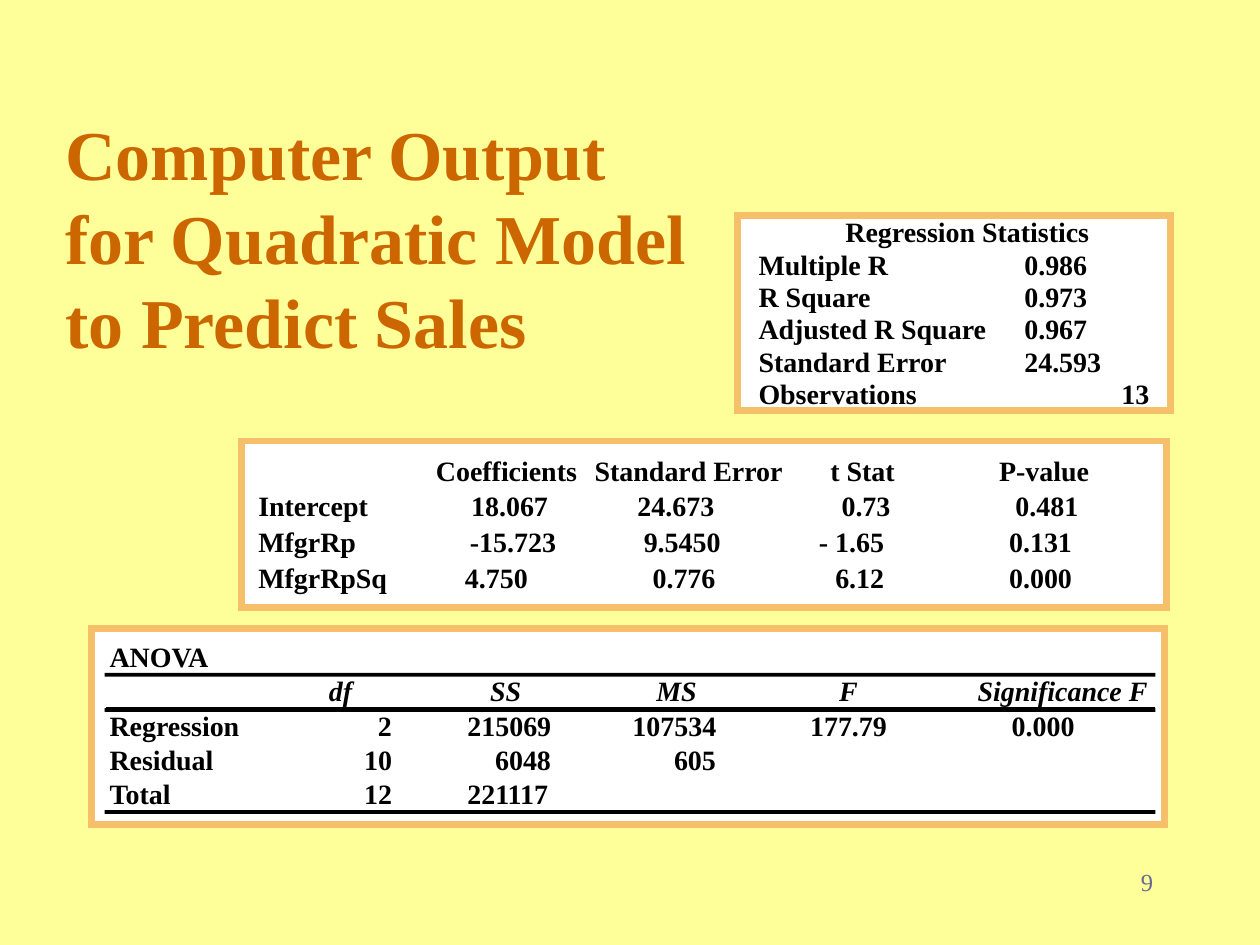
from dataclasses import dataclass
from lxml.etree import SubElement
from pptx import Presentation
from pptx.dml.color import RGBColor as RGB
from pptx.enum.shapes import MSO_CONNECTOR as Link, MSO_SHAPE as Shape
from pptx.enum.text import MSO_ANCHOR as Anchor, MSO_AUTO_SIZE as Fit, PP_ALIGN as Align
from pptx.oxml.ns import qn
from pptx.util import Inches, Pt

TITLE = "Computer Output for Quadratic Model to Predict Sales"
NUMBER = "9"

# A cell is a text, or a text with its indent in inches.
# cols lists the column edges; head is the row in italics.
TABLES = [
    dict(
        frame=(5.85, 1.71, 3.44, 1.55), top=1.73, height=1.54,
        cols=[6.02, 8.13, 9.27], head=None, merge=True,
        rows=[
            [("Regression Statistics", 0.69), ""],
            ["Multiple R", "0.986"],
            ["R Square", "0.973"],
            ["Adjusted R Square", "0.967"],
            ["Standard Error", "24.593"],
            ["Observations", ("13", 0.77)],
        ],
    ),
    dict(
        frame=(1.92, 3.5, 7.34, 1.32), top=3.62, height=1.14,
        cols=[2.05, 3.46, 4.72, 6.46, 7.93, 9.16], head=None, merge=False,
        rows=[
            ["", "Coefficients", "Standard Error", ("t Stat", 0.13), "P-value"],
            ["Intercept", ("18.067", 0.28), ("24.673", 0.34), ("0.73", 0.22), ("0.481", 0.13)],
            ["MfgrRp", ("-15.723", 0.27), ("9.5450", 0.39), ("- 1.65", 0.04), ("0.131", 0.08)],
            ["MfgrRpSq", ("4.750", 0.23), ("0.776", 0.46), ("6.12", 0.17), ("0.000", 0.08)],
        ],
    ),
    dict(
        frame=(0.73, 4.99, 8.51, 1.55), top=5.1, height=1.36,
        cols=[0.83, 2.61, 3.71, 5.02, 6.43, 7.76, 9.17], head=1, merge=False,
        rows=[
            [("ANOVA", 0.04), "", "", "", "", ""],
            ["", "df", ("SS", 0.18), ("MS", 0.19), ("F", 0.23), "Significance F"],
            [("Regression", 0.04), ("2", 0.39), "215069", "107534", "177.79", ("0.000", 0.27)],
            [("Residual", 0.04), ("10", 0.28), ("6048", 0.22), ("605", 0.33), "", ""],
            [("Total", 0.04), ("12", 0.28), "221117", "", "", ""],
        ],
    ),
]
BARS = [5.34, 5.62, 6.43]
HAIR = 0.84, 5.62, 9.17, 5.62


@dataclass(frozen=True)
class Theme:
    face: str = "Times New Roman"
    back: str = "FFFF99"
    title: str = "CC6600"
    panel: str = "FFFFFF"
    edge: str = "F6BF69"
    ink: str = "000000"
    note: str = "666699"
    big: int = 40
    body: int = 16
    small: int = 14
    border: int = 4
    hair: int = 1
    plain: str = "{2D5ABB26-0587-4C30-8999-92F81FD0307C}"  # no style, no grid


T = Theme()


def style(par, size, color, bold=False, italic=False):
    for run in par.runs:
        font = run.font
        font.name, font.size = T.face, Pt(size)
        font.bold, font.italic = bold, italic
        font.color.rgb = RGB.from_string(color)


def add_rect(slide, box, color):
    rect = slide.shapes.add_shape(Shape.RECTANGLE, *map(Inches, box))
    rect.shadow.inherit = False
    rect.fill.solid()
    rect.fill.fore_color.rgb = RGB.from_string(color)
    rect.line.fill.background()
    return rect


def fill_cell(cell, item, italic):
    text, indent = item if isinstance(item, tuple) else (item, 0)
    cell.fill.background()
    cell.margin_left = Inches(indent)
    cell.margin_right = cell.margin_top = cell.margin_bottom = 0
    par = cell.text_frame.paragraphs[0]
    if text:
        par.text = text
        style(par, T.body, T.ink, True, italic)
    else:  # an empty cell must not stretch its row
        SubElement(par._p, qn("a:endParaRPr"), sz=str(T.body * 100))


def add_frame(slide, box):
    frame = add_rect(slide, box, T.panel)
    frame.line.color.rgb = RGB.from_string(T.edge)
    frame.line.width = Pt(T.border)
    SubElement(frame.line._get_or_add_ln(), qn("a:miter"), lim="800000")


def add_rules(slide):
    for top in BARS:
        add_rect(slide, (0.83, top, 8.34, 0.03), T.ink)
    hair = slide.shapes.add_connector(Link.STRAIGHT, *map(Inches, HAIR))
    hair.line.color.rgb = RGB.from_string(T.ink)
    hair.line.width = Pt(T.hair)
    SubElement(hair.element.spPr, qn("a:effectLst"))


def add_grid(slide, data):
    rows, cols = data["rows"], data["cols"]
    box = cols[0], data["top"], cols[-1] - cols[0], data["height"]
    holder = slide.shapes.add_table(len(rows), len(cols) - 1, *map(Inches, box))
    table = holder.table
    table.first_row = table.horz_banding = False
    for node in holder.element.iter(qn("a:tableStyleId")):
        node.text = T.plain
    for col, left, right in zip(table.columns, cols, cols[1:]):
        col.width = Inches(right - left)
    for r, row in enumerate(rows):
        table.rows[r].height = Inches(data["height"] / len(rows))
        for c, item in enumerate(row):
            fill_cell(table.cell(r, c), item, r == data["head"])
    if data["merge"]:
        table.cell(0, 0).merge(table.cell(0, len(cols) - 2))


def add_title(slide):
    title = slide.shapes.title
    box = map(Inches, (0.42, 0.67, 5.17, 2.42))
    title.left, title.top, title.width, title.height = box
    frame = title.text_frame
    frame.text = TITLE
    frame.word_wrap, frame.auto_size = True, Fit.NONE
    frame.vertical_anchor = Anchor.MIDDLE
    par = frame.paragraphs[0]
    par.alignment, par.line_spacing = Align.LEFT, 1.0
    style(par, T.big, T.title, True)


def add_number(slide):
    box = slide.shapes.add_textbox(*map(Inches, (8.42, 6.83, 0.83, 0.5)))
    box.text_frame.word_wrap = True
    box.text_frame.text = NUMBER
    par = box.text_frame.paragraphs[0]
    par.alignment = Align.RIGHT
    style(par, T.small, T.note)


def main():
    deck = Presentation()
    deck.slide_width, deck.slide_height = Inches(10), Inches(7.5)
    slide = deck.slides.add_slide(deck.slide_layouts.get_by_name("Title Only"))
    slide.background.fill.solid()
    slide.background.fill.fore_color.rgb = RGB.from_string(T.back)
    add_title(slide)
    for data in TABLES:
        add_frame(slide, data["frame"])
    add_rules(slide)
    for data in TABLES:
        add_grid(slide, data)
    add_number(slide)
    deck.save("out.pptx")


if __name__ == "__main__":
    main()
